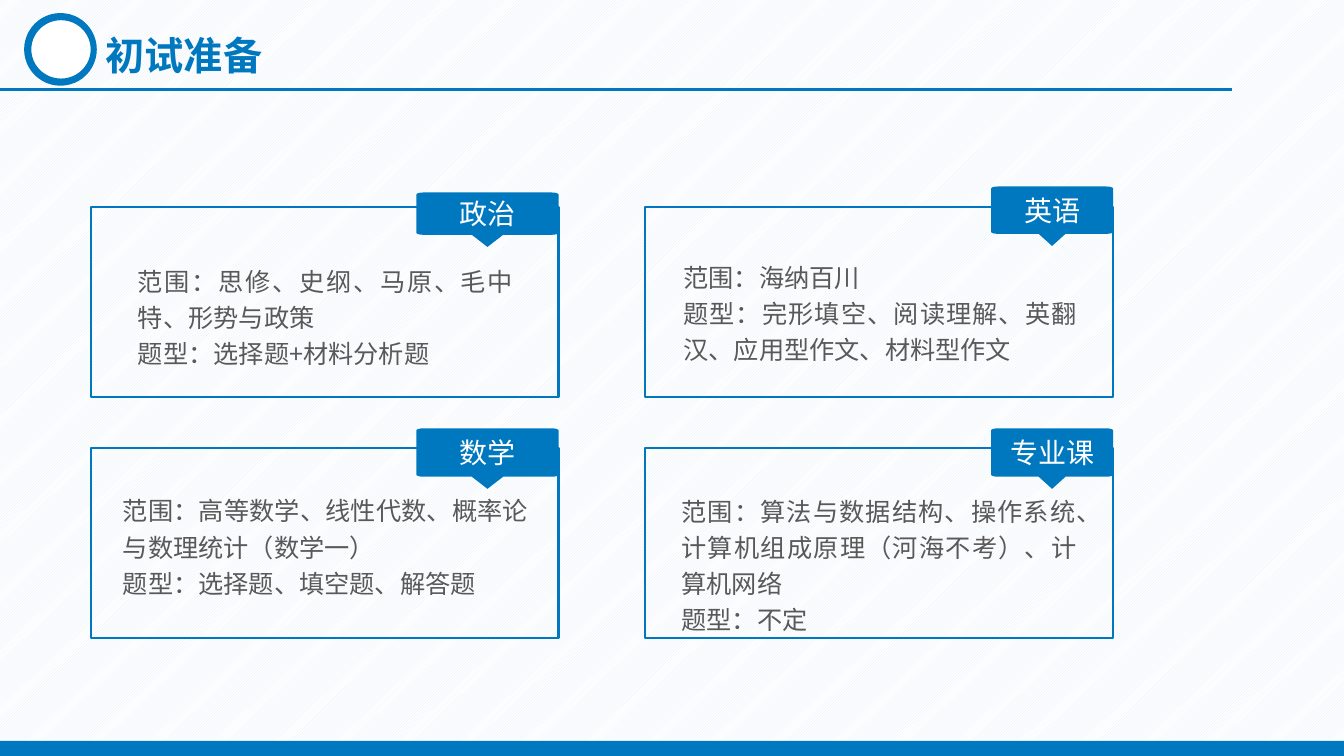
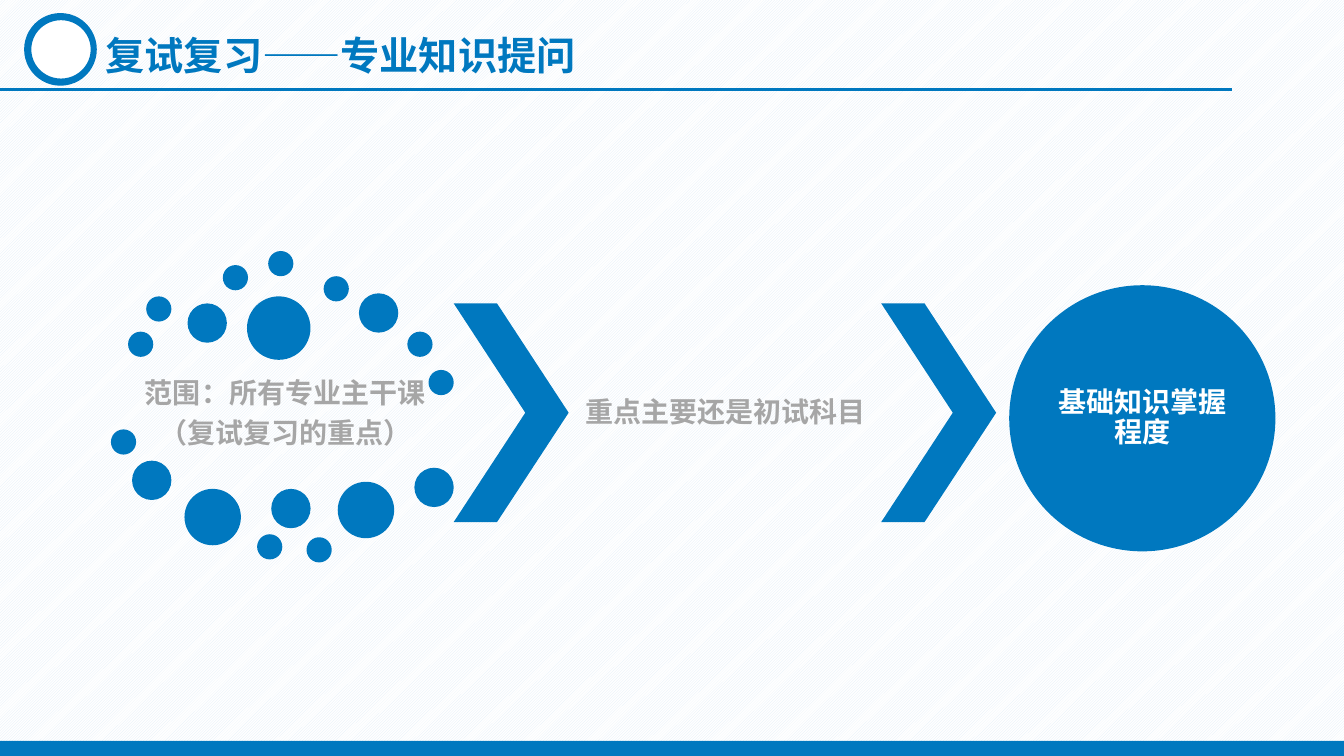
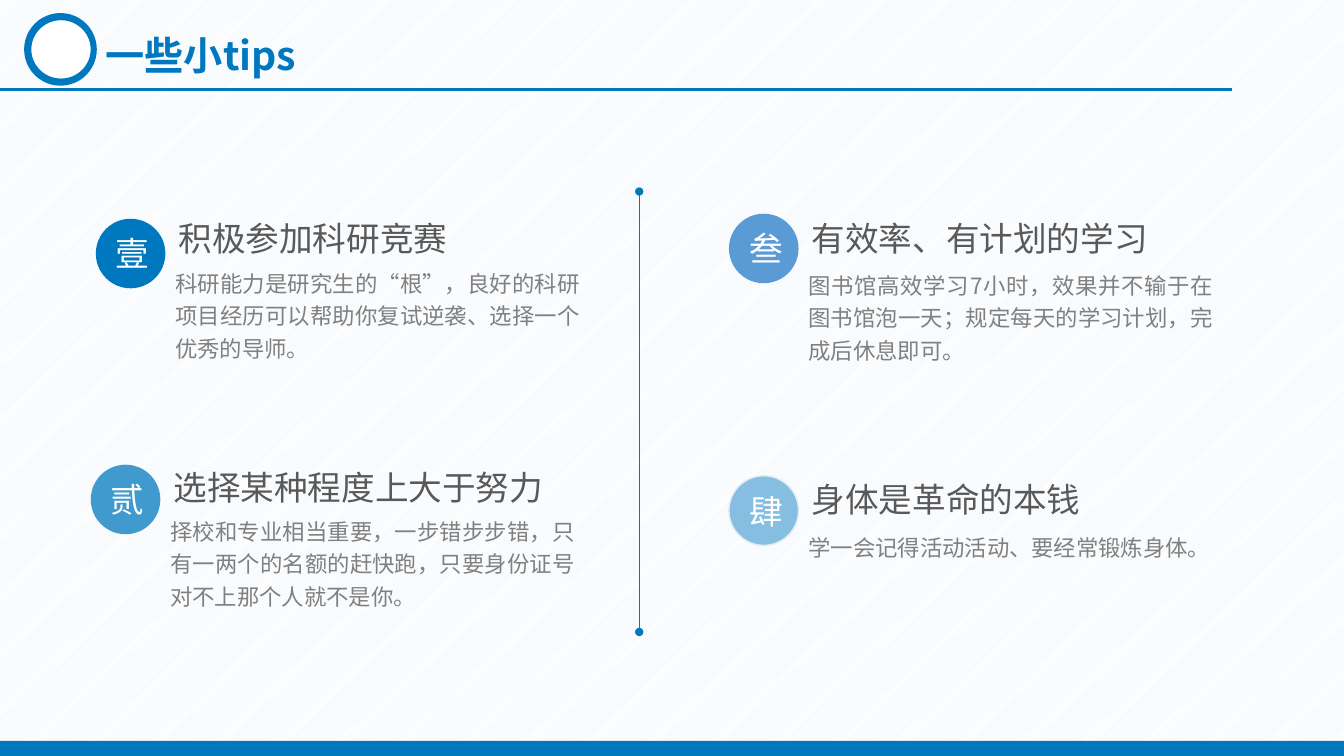
from math import cos, pi, sin

from lxml import etree
from pptx import Presentation
from pptx import util as u
from pptx.dml.color import RGBColor
from pptx.enum import dml, shapes, text
from pptx.oxml.ns import qn

# Shared look
W, H = 13.33, 7.5
FONT = "Noto Sans CJK SC"
BLUE = RGBColor(0x00, 0x78, 0xBF)
MID_BLUE = RGBColor(0x40, 0x9A, 0xCE)
SOFT_BLUE = RGBColor(0x5B, 0x9B, 0xD5)
LIGHT_BLUE = RGBColor(0x85, 0xBE, 0xE0)
PALE_BLUE = RGBColor(0xDE, 0xEB, 0xF7)
WHITE = RGBColor(0xFF, 0xFF, 0xFF)
DARK_GRAY = RGBColor(0x59, 0x59, 0x59)
GRAY = RGBColor(0x80, 0x80, 0x80)
LIGHT_GRAY = RGBColor(0xA6, 0xA6, 0xA6)
OVAL = shapes.MSO_SHAPE.OVAL
RECT = shapes.MSO_SHAPE.RECTANGLE
CHEVRON = shapes.MSO_SHAPE.CHEVRON
LEFT, CENTER, JUSTIFY = (text.PP_ALIGN.LEFT, text.PP_ALIGN.CENTER,
                         text.PP_ALIGN.JUSTIFY)


def inches(*values):
    return [u.Inches(v) for v in values]


def write(tf, lines, size, color, bold=False, align=LEFT, spacing=None,
          after=None, insets=None, middle=True):
    tf.word_wrap = True
    tf.vertical_anchor = (text.MSO_ANCHOR.MIDDLE if middle
                          else text.MSO_ANCHOR.TOP)
    if insets:
        (tf.margin_left, tf.margin_top,
         tf.margin_right, tf.margin_bottom) = inches(*insets)
    for i, line in enumerate(lines):
        p = tf.paragraphs[0] if i == 0 else tf.add_paragraph()
        p.add_run().text = line
        p.alignment = align
        if spacing:
            p.line_spacing = spacing
        if after:
            p.space_after = u.Pt(after)
        f = p.font
        f.size, f.bold, f.name = u.Pt(size), bold, FONT
        f.color.rgb = color
        etree.SubElement(f._element, qn("a:ea"), typeface=FONT)


def text_box(s, at, lines, size, color, **style):
    tf = s.shapes.add_textbox(*inches(*at)).text_frame
    write(tf, lines, size, color, **style)


def body_text(s, at, lines, size, color):
    text_box(s, at, lines, size, color, align=JUSTIFY, spacing=1.2,
             middle=False)


def paint(sp, fill=None, line=None, width=1.5):
    sp.shadow.inherit = False
    if fill is None:
        sp.fill.background()
    else:
        sp.fill.solid()
        sp.fill.fore_color.rgb = fill
    if line is None:
        sp.line.fill.background()
    else:
        sp.line.color.rgb = line
        sp.line.width = u.Pt(width)


def shape(parent, kind, at, fill=None, line=None, width=1.5):
    sp = parent.shapes.add_shape(kind, *inches(*at))
    paint(sp, fill, line, width)
    return sp


def rule(s, start, end, width, dots=False):
    c = s.shapes.add_connector(shapes.MSO_CONNECTOR.STRAIGHT,
                               *inches(*start, *end))
    c.line.color.rgb = BLUE
    c.line.width = u.Pt(width)
    sp_pr = c._element.spPr
    if dots:
        for end_name in ("a:headEnd", "a:tailEnd"):
            etree.SubElement(sp_pr.find(qn("a:ln")), qn(end_name), type="oval")
    etree.SubElement(sp_pr, qn("a:effectLst"))


def tag(s, x, y, w, h, label):
    """Rounded label with a pointer below its middle."""
    rx, ry, tip = 0.07, 0.02, 0.12
    base, mid, half = y + h - tip, x + w / 2, w * 0.11

    def corner(cx, cy, first):
        angles = [(first + 90 * k / 4) * pi / 180 for k in range(5)]
        return [(cx + rx * cos(a), cy + ry * sin(a)) for a in angles]

    points = (corner(x + rx, y + ry, 180) + corner(x + w - rx, y + ry, 270)
              + corner(x + w - rx, base - ry, 0)
              + [(mid + half, base), (mid, y + h), (mid - half, base)]
              + corner(x + rx, base - ry, 90))
    points = [inches(*point) for point in points]
    builder = s.shapes.build_freeform(*points[0])
    builder.add_line_segments(points[1:], close=True)
    sp = builder.convert_to_shape()
    paint(sp, BLUE)
    write(sp.text_frame, [label], 20, WHITE, align=CENTER,
          insets=(0, 0, 0, tip))


def new_slide(prs, title):
    s = prs.slides.add_slide(prs.slide_layouts[6])
    text_box(s, (0.95, 0.03, 4.97, 0.72), [title], 28, BLUE, bold=True,
             spacing=1.5, middle=False)
    rule(s, (0, 0.89), (12.22, 0.89), 2)
    shape(s, RECT, (0, H * 0.98, W, H * 0.02), BLUE)
    ring = s.shapes.add_group_shape()
    shape(ring, OVAL, (0.25, 0.14, 0.7, 0.7), BLUE, BLUE)
    shape(ring, OVAL, (0.3, 0.19, 0.61, 0.6), WHITE, BLUE)
    return s


def exam_slide(prs):
    s = new_slide(prs, "初试准备")
    cols, rows, card_w, card_h = (0.9, 6.4), (2.05, 4.44), 4.64, 1.89
    tag_widths = (1.41, 1.21)
    # Column, row, label, tag top and height, text place, text
    subjects = [
        (0, 0, "政治", 1.91, 0.54, (1.27, 2.53, 3.92, 1.16),
         ["范围：思修、史纲、马原、毛中特、形势与政策", "题型：选择题+材料分析题"]),
        (1, 0, "英语", 1.85, 0.59, (6.68, 2.49, 4.1, 1.16),
         ["范围：海纳百川", "题型：完形填空、阅读理解、英翻汉、应用型作文、材料型作文"]),
        (0, 1, "数学", 4.25, 0.6, (1.12, 4.81, 4.22, 1.16),
         ["范围：高等数学、线性代数、概率论与数理统计（数学一）",
          "题型：选择题、填空题、解答题"]),
        (1, 1, "专业课", 4.25, 0.6, (6.66, 4.81, 4.12, 1.52),
         ["范围：算法与数据结构、操作系统、计算机组成原理（河海不考）、计算机网络",
          "题型：不定"]),
    ]
    for col, row, label, top, height, place, lines in subjects:
        x, tag_w = cols[col], tag_widths[col]
        shape(s, RECT, (x, rows[row], card_w, card_h), line=BLUE)
        tag(s, x + card_w - tag_w, top, tag_w, height, label)
        body_text(s, place, lines, 18, DARK_GRAY)


def interview_slide(prs):
    s = new_slide(prs, "复试复习——专业知识提问")
    step = dict(bold=True, align=CENTER, spacing=0.9, after=7)
    pad = (0.03,) * 4
    # Ring of dots: diameter and top left corners
    dots = {
        0.25: [(1.27, 3.29), (1.45, 2.94), (2.21, 2.63), (2.66, 2.49),
               (3.21, 2.74), (4.04, 3.29), (4.25, 3.67), (1.1, 4.26),
               (2.55, 5.3), (3.04, 5.33)],
        0.39: [(1.86, 3.01), (3.56, 2.91), (1.31, 4.57), (2.69, 4.85),
               (4.11, 4.64)],
        0.56: [(1.83, 4.85), (3.35, 4.78)],
        0.63: [(2.45, 2.94)],
    }
    for d, corners in dots.items():
        for x, y in corners:
            shape(s, OVAL, (x, y, d, d), BLUE)
    text_box(s, (1.28, 3.6, 3.1, 1.02),
             ["范围：所有专业主干课", "（复试复习的重点）"], 20, LIGHT_GRAY,
             insets=pad, **step)
    # Steps to the right
    for x in (4.5, 8.74):
        arrow = shape(s, CHEVRON, (x, 3.01, 1.14, 2.17), BLUE)
        arrow.adjustments[0] = 0.623
    text_box(s, (5.64, 3.01, 3.11, 2.18), ["重点主要还是初试科目"], 20,
             LIGHT_GRAY, insets=pad, **step)
    goal = shape(s, OVAL, (10.01, 2.83, 2.64, 2.64), BLUE)
    write(goal.text_frame, ["基础知识掌握程度"], 20, WHITE,
          insets=(0, 0, 0, 0), **step)


def tips_slide(prs):
    s = new_slide(prs, "一些小tips")
    badge, text_w = 0.69, 4.21
    # Left edge, tops of badge, heading and body, colours, texts
    tips = [
        (0.95, 2.17, 1.97, 2.58, BLUE, None, "壹", "积极参加科研竞赛",
         "科研能力是研究生的“根”，良好的科研项目经历可以帮助你复试逆袭、选择一个优秀的导师。"),
        (0.9, 4.61, 4.44, 5.04, MID_BLUE, None, "贰", "选择某种程度上大于努力",
         "择校和专业相当重要，一步错步步错，只有一两个的名额的赶快跑，只要身份证号对不上那个人就不是你。"),
        (7.23, 2.12, 1.97, 2.6, SOFT_BLUE, None, "叁", "有效率、有计划的学习",
         "图书馆高效学习7小时，效果并不输于在图书馆泡一天；规定每天的学习计划，完成后休息即可。"),
        (7.23, 4.72, 4.56, 5.2, LIGHT_BLUE, PALE_BLUE, "肆", "身体是革命的本钱",
         "学一会记得活动活动、要经常锻炼身体。"),
    ]
    for x, top, head_y, body_y, fill, edge, number, heading, body in tips:
        sp = shape(s, OVAL, (x, top, badge, badge), fill, edge, 1)
        write(sp.text_frame, [number], 24, WHITE, align=CENTER)
        text_x = x + badge
        text_box(s, (text_x, head_y, text_w, 0.78), [heading], 24, DARK_GRAY,
                 insets=(0.13, 0.07, 0.13, 0.07))
        body_text(s, (text_x, body_y, text_w, 1.04), [body], 16, GRAY)
    rule(s, (6.34, 1.9), (6.34, 6.27), 0.5, dots=True)


def main():
    prs = Presentation()
    prs.slide_width, prs.slide_height = inches(W, H)
    fill = prs.slide_master.background.fill
    fill.patterned()
    fill.pattern = dml.MSO_PATTERN.LIGHT_UPWARD_DIAGONAL
    fill.fore_color.rgb = PALE_BLUE
    fill.back_color.rgb = WHITE
    exam_slide(prs)
    interview_slide(prs)
    tips_slide(prs)
    prs.save("out.pptx")


if __name__ == "__main__":
    main()
